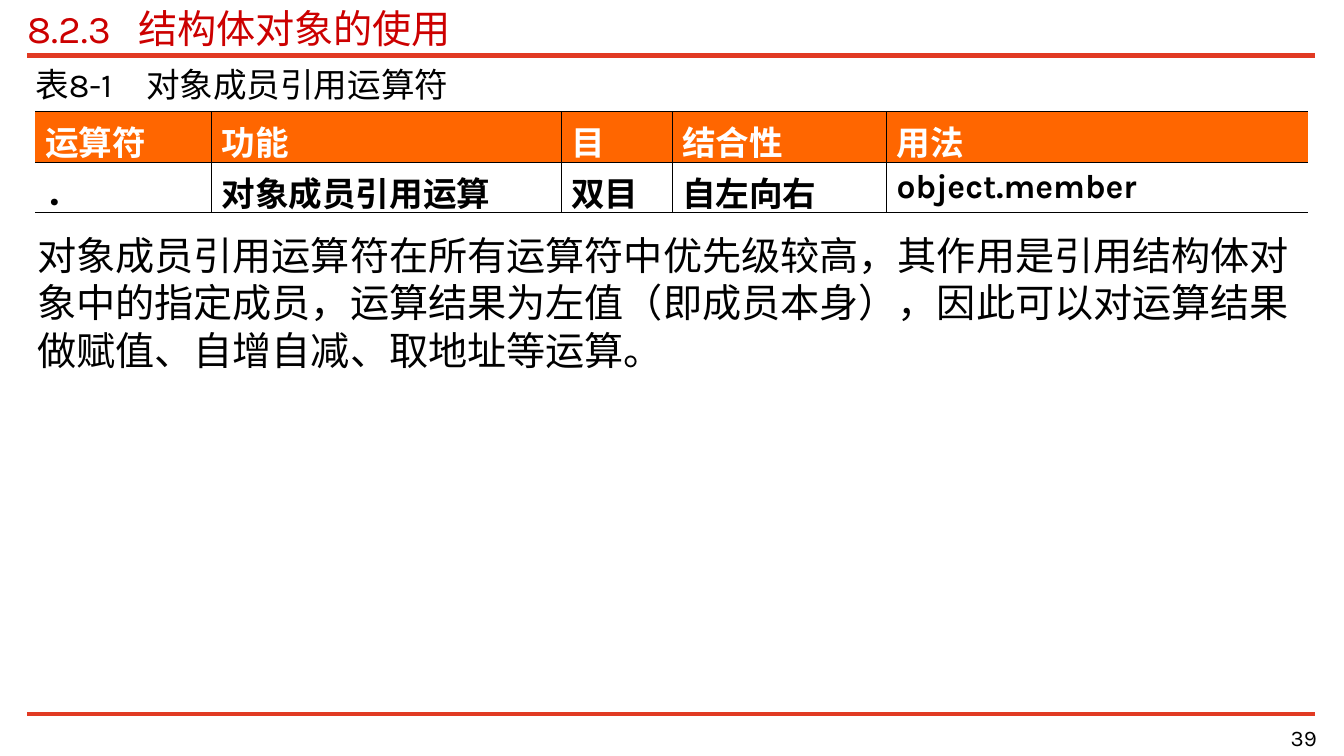
import pptx
import pptx.util
import pptx.dml.color
import pptx.enum.shapes
import pptx.enum.text
import pptx.oxml.ns
from lxml import etree

Inches, Pt = pptx.util.Inches, pptx.util.Pt
RGBColor = pptx.dml.color.RGBColor
PP_ALIGN = pptx.enum.text.PP_ALIGN
MSO_ANCHOR = pptx.enum.text.MSO_ANCHOR
qn = pptx.oxml.ns.qn

RULE_RED = RGBColor(0xE1, 0x3A, 0x23)
TITLE_RED = RGBColor(0xCC, 0x00, 0x00)
HEADER_ORANGE = RGBColor(0xFF, 0x66, 0x00)
BLACK = RGBColor(0x00, 0x00, 0x00)
WHITE = RGBColor(0xFF, 0xFF, 0xFF)
FONT = "Karla"
HEADING_TAB = 1.1

COLUMN_WIDTHS = [1.75, 3.47, 1.1, 2.13, 4.18]
OPERATOR_ROWS = [
    ["运算符", "功能", "目", "结合性", "用法"],
    ["．", "对象成员引用运算", "双目", "自左向右", "object.member"],
]
EXPLANATION = (
    "对象成员引用运算符在所有运算符中优先级较高，其作用是引用结构体对象中的指定成员，"
    "运算结果为左值（即成员本身），因此可以对运算结果做赋值、自增自减、取地址等运算。"
)


def write(p, text, size, color, bold=False):
    r = p.add_run()
    r.text = text
    for name, value in {"name": FONT, "size": Pt(size), "bold": bold}.items():
        setattr(r.font, name, value)
    r.font.color.rgb = color


def add_text(s, box, text, size, color=BLACK, margins=(0, 0), tab=None,
             align=PP_ALIGN.LEFT, anchor=MSO_ANCHOR.TOP):
    tf = s.shapes.add_textbox(*map(Inches, box)).text_frame
    side, end = map(Inches, margins)
    frame_format = {
        "word_wrap": True, "vertical_anchor": anchor,
        "margin_left": side, "margin_right": side,
        "margin_top": end, "margin_bottom": end,
    }
    for name, value in frame_format.items():
        setattr(tf, name, value)
    p = tf.paragraphs[0]
    p.alignment = align
    if tab:
        tabs = etree.SubElement(p._p.get_or_add_pPr(), qn("a:tabLst"))
        etree.SubElement(tabs, qn("a:tab"), pos=str(Inches(tab)), algn="l")
    write(p, text, size, color)


def add_rule(s, left, top, width, weight):
    line = s.shapes.add_connector(
        pptx.enum.shapes.MSO_CONNECTOR.STRAIGHT,
        Inches(left), Inches(top), Inches(left + width), Inches(top))
    line.line.color.rgb = RULE_RED
    line.line.width = Pt(weight)
    etree.SubElement(line._element.spPr, qn("a:effectLst"))


def add_border(cell, side, weight):
    """Draw one cell edge; a weight of 0 leaves it open."""
    ln = etree.SubElement(cell._tc.get_or_add_tcPr(), qn("a:ln" + side),
                          w=str(Pt(weight)))
    if weight:
        fill = etree.SubElement(ln, qn("a:solidFill"))
        etree.SubElement(fill, qn("a:srgbClr"), val=str(BLACK))
    else:
        etree.SubElement(ln, qn("a:noFill"))


def add_header(s, left, top, width):
    add_text(s, (left, top, width, 0.47), "8.2.3\t结构体对象的使用", 28,
             TITLE_RED, tab=HEADING_TAB)
    add_rule(s, left, top + 0.51, width, 4)


def add_operator_table(s, left, top, width):
    # Caption
    add_text(s, (left, top, width, 0.4), "表8-1\t对象成员引用运算符", 24,
             tab=HEADING_TAB)
    # Grid
    row_height = 0.5
    table = s.shapes.add_table(
        len(OPERATOR_ROWS), len(COLUMN_WIDTHS), Inches(left),
        Inches(top + 0.48), Inches(sum(COLUMN_WIDTHS)),
        Inches(row_height * len(OPERATOR_ROWS))).table
    table.first_row = table.horz_banding = False
    for column, column_width in zip(table.columns, COLUMN_WIDTHS):
        column.width = Inches(column_width)
    # Cells: open at the outer left and right
    last = len(COLUMN_WIDTHS) - 1
    for i, texts in enumerate(OPERATOR_ROWS):
        table.rows[i].height = Inches(row_height)
        for j, text in enumerate(texts):
            cell = table.cell(i, j)
            borders = {"L": 0.45 if j > 0 else 0, "R": 0.45 if j < last else 0,
                       "T": 0.62, "B": 0.62}
            for side, weight in borders.items():
                add_border(cell, side, weight)
            if i == 0:
                cell.fill.solid()
                cell.fill.fore_color.rgb = HEADER_ORANGE
            else:
                cell.fill.background()
            write(cell.text_frame.paragraphs[0], text, 24,
                  WHITE if i == 0 else BLACK, bold=True)


def add_explanation(s, left, top, width, height):
    add_text(s, (left, top, width, height), EXPLANATION, 28,
             margins=(0.1, 0.05))


def add_footer(s, left, top, width):
    add_rule(s, left, top, width, 3)
    number_width = 2.68
    add_text(s, (left + width - number_width + 0.02, top + 0.08,
                 number_width, 0.31),
             "39", 16, align=PP_ALIGN.RIGHT, anchor=MSO_ANCHOR.MIDDLE)


def main():
    prs = pptx.Presentation()
    prs.slide_width, prs.slide_height = Inches(13.34), Inches(7.5)
    s = prs.slides.add_slide(prs.slide_layouts[6])
    left, width = 0.27, 12.78
    add_header(s, left, 0.04, width)
    add_operator_table(s, left + 0.08, 0.63, 12.64)
    add_explanation(s, left, 2.25, width, 4.73)
    add_footer(s, left, 7.08, width)
    prs.save("out.pptx")


if __name__ == "__main__":
    main()
